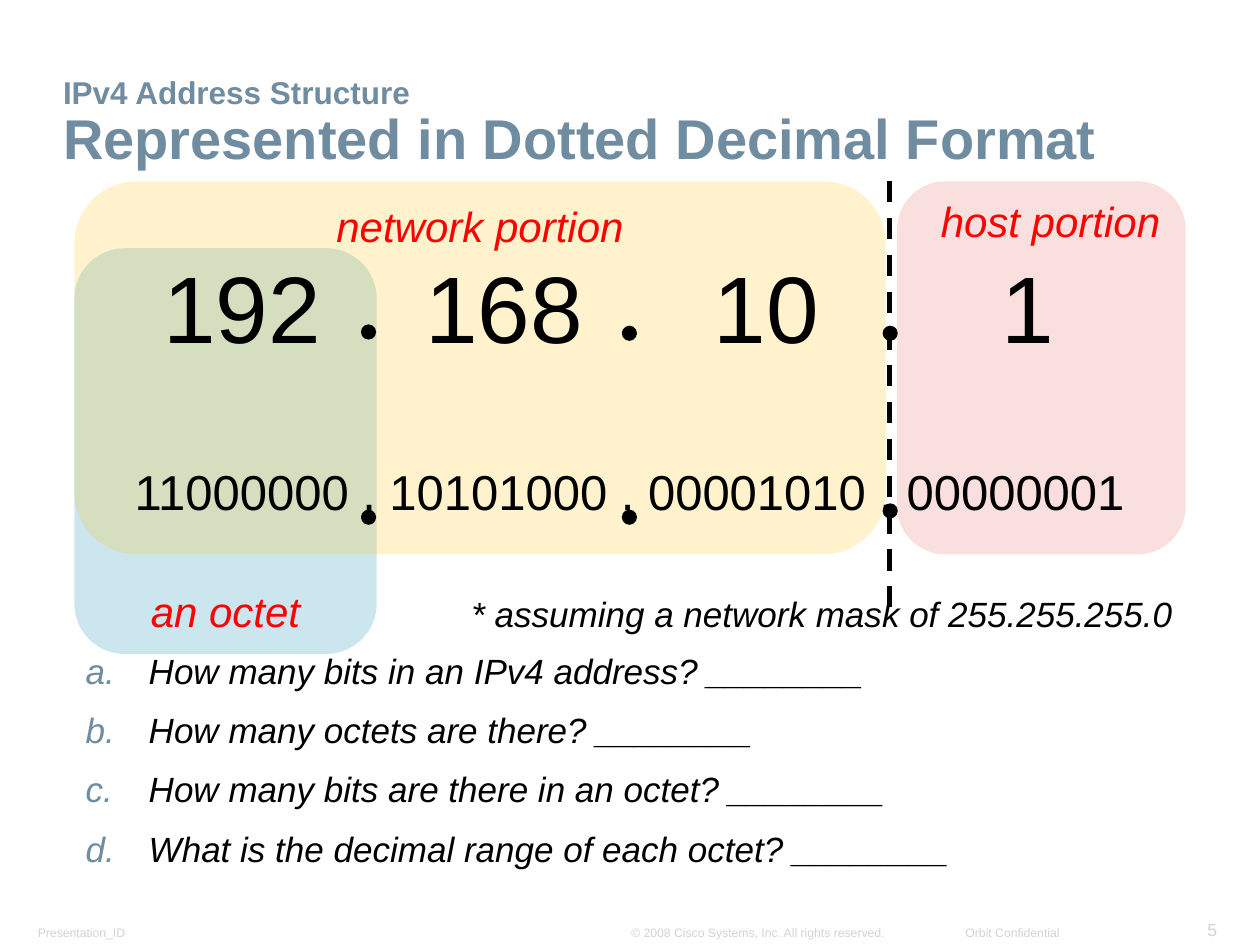
from lxml.etree import SubElement as Sub
from pptx import Presentation
from pptx.dml.color import RGBColor as Rgb
from pptx.enum.dml import MSO_LINE as Dash
from pptx.enum.shapes import MSO_CONNECTOR as Conn, MSO_SHAPE as Geo
from pptx.enum.text import MSO_ANCHOR as Anchor, PP_ALIGN as Align
from pptx.oxml.ns import qn
from pptx.util import Inches, Pt

COLORS = {"slate": "708CA1", "gray": "D3D3D3", "red": "FF0000", "black": "000000",
          "blue": "0183B7", "gold": "FFC000", "rose": "E85F5F"}
FRAME = {"margin_left": Inches(0.09), "margin_right": Inches(0.09),
         "margin_top": Inches(0.05), "margin_bottom": Inches(0.05), "word_wrap": True}
LABEL = {"size": Pt(24), "italic": True}
NOTE = {"size": Pt(20), "italic": True}


def color(name):
    """Return a named colour."""
    return Rgb.from_string(COLORS[name])


def put(item, values):
    """Set attributes from a dict."""
    for key, value in values.items():
        setattr(item, key, value)


def place(box):
    """Turn a box of inches into lengths."""
    return [Inches(side) for side in box]


def write(para, text, hue, font, form=None):
    """Add a run of text to a paragraph."""
    run = para.add_run()
    run.text = text
    put(run.font, {"name": "Arial", **font})
    run.font.color.rgb = color(hue)
    put(para, form or {})


def text_box(slide, box, frame=None):
    """Add an empty text box and return its frame."""
    area = slide.shapes.add_textbox(*place(box)).text_frame
    put(area, {**FRAME, **(frame or {})})
    return area


def middle(slide, x, y, width, text, font, align=Align.CENTER):
    """Add one line of text centred on a point."""
    area = text_box(slide, (x - width / 2, y - 0.5, width, 1),
                    {"vertical_anchor": Anchor.MIDDLE})
    write(area.paragraphs[0], text, "black", font, {"alignment": align})


def title(slide, box, top, main):
    """Add the two-line title."""
    para = text_box(slide, box, {"vertical_anchor": Anchor.BOTTOM}).paragraphs[0]
    write(para, top, "slate", {"size": Pt(18), "bold": True})
    para.add_line_break()
    write(para, main, "slate", {"size": Pt(32), "bold": True}, {"line_spacing": 0.9})


def panel(slide, box, hue, text, align, frame):
    """Add a translucent rounded panel with its label."""
    shape = slide.shapes.add_shape(Geo.ROUNDED_RECTANGLE, *place(box))
    shape.shadow.inherit = False
    shape.line.fill.background()
    shape.fill.solid()
    shape.fill.fore_color.rgb = color(hue)
    tone = shape.element.spPr.find(qn("a:solidFill"))[0]
    Sub(tone, qn("a:alpha"), val="20000")
    put(shape.text_frame, {**FRAME, **frame})
    write(shape.text_frame.paragraphs[0], text, "red", LABEL,
          {"alignment": align, "line_spacing": 0.9})


def panels(slide, x, y):
    """Add the octet, network and host panels."""
    top = {"vertical_anchor": Anchor.TOP}
    low = {"vertical_anchor": Anchor.BOTTOM, "margin_bottom": Inches(0.02)}
    panel(slide, (x, y + 0.53, 2.4, 3.22), "blue", "an octet", Align.CENTER, low)
    panel(slide, (x, y, 6.44, 2.96), "gold", "network portion", Align.CENTER, top)
    panel(slide, (x + 6.53, y, 2.29, 2.96), "rose", "host portion", Align.RIGHT, top)


def address(slide, x, y, width):
    """Add the decimal and binary forms of the address."""
    for i, part in enumerate(("192", "168", "10", "1")):
        middle(slide, x + 1.33 + 2.08 * i, y + 0.99, 2, part, {"size": Pt(54)})
    mid = x + width / 2
    middle(slide, mid, y + 2.46, width,
           "11000000 . 10101000 . 00001010 . 00000001", {"size": Pt(28)})
    middle(slide, mid, y + 3.43, width,
           "* assuming a network mask of 255.255.255.0", NOTE, Align.RIGHT)


def divider(slide, x, y, height):
    """Add the dashed line between network and host."""
    line = slide.shapes.add_connector(Conn.STRAIGHT, *place((x, y, x, y + height)))
    put(line.line, {"width": Pt(3), "dash_style": Dash.DASH})
    line.line.color.rgb = color("black")
    Sub(line.element.spPr, qn("a:effectLst"))


def dots(slide, x, y):
    """Add the dots of both address rows."""
    for drops in ((0, 0.01, 0.01), (1.47, 1.47, 1.42)):
        for i, drop in enumerate(drops):
            box = (x + 2.07 * i, y + drop, 0.11, 0.11)
            dot = slide.shapes.add_shape(Geo.OVAL, *place(box))
            dot.shadow.inherit = False
            dot.fill.solid()
            dot.fill.fore_color.rgb = dot.line.color.rgb = color("black")
            dot.line.width = Pt(0.75)


def questions(slide, box, lines):
    """Add the lettered questions."""
    area = text_box(slide, box)
    for i, text in enumerate(lines):
        para = area.add_paragraph() if i else area.paragraphs[0]
        props = para._p.get_or_add_pPr()
        props.set("marL", str(Inches(0.5)))
        props.set("indent", str(-Inches(0.5)))
        Sub(Sub(props, qn("a:buClr")), qn("a:srgbClr"), val=COLORS["slate"])
        Sub(props, qn("a:buFont"), typeface="Arial")
        Sub(props, qn("a:buAutoNum"), type="alphaLcPeriod")
        write(para, text, "black", NOTE,
              {"line_spacing": 0.95, "space_before": Pt(11 if i else 0)})


def footer(slide, y):
    """Add the footer texts and the slide number."""
    parts = (("Presentation_ID", 0.21, 1.05, 7, Align.LEFT),
             ("© 2008 Cisco Systems, Inc. All rights reserved.", 4.92, 2.21, 7, Align.LEFT),
             ("Orbit Confidential", 7.54, 0.96, 7, Align.RIGHT),
             ("5", 9.4, 0.35, 10, Align.RIGHT))
    for text, x, width, size, align in parts:
        area = text_box(slide, (x, y, width, 0.26),
                        {"vertical_anchor": Anchor.BOTTOM, "word_wrap": False})
        write(area.paragraphs[0], text, "gray", {"size": Pt(size)}, {"alignment": align})


def main():
    """Build and save the slide."""
    deck = Presentation()
    put(deck, {"slide_width": Inches(10), "slide_height": Inches(7.5)})
    slide = deck.slides.add_slide(deck.slide_layouts[6])
    footer(slide, 7.25)
    title(slide, (0.41, 0.49, 9.59, 0.92),
          "IPv4 Address Structure", "Represented in Dotted Decimal Format")
    panels(slide, 0.59, 1.44)
    address(slide, 0.59, 1.44, 8.81)
    questions(slide, (0.59, 5.13, 8.81, 1.9),
              ("How many bits in an IPv4 address? ________",
               "How many octets are there? ________",
               "How many bits are there in an octet? ________",
               "What is the decimal range of each octet? ________"))
    divider(slide, 7.06, 1.44, 3.43)
    dots(slide, 2.87, 2.58)
    deck.save("out.pptx")


if __name__ == "__main__":
    main()
